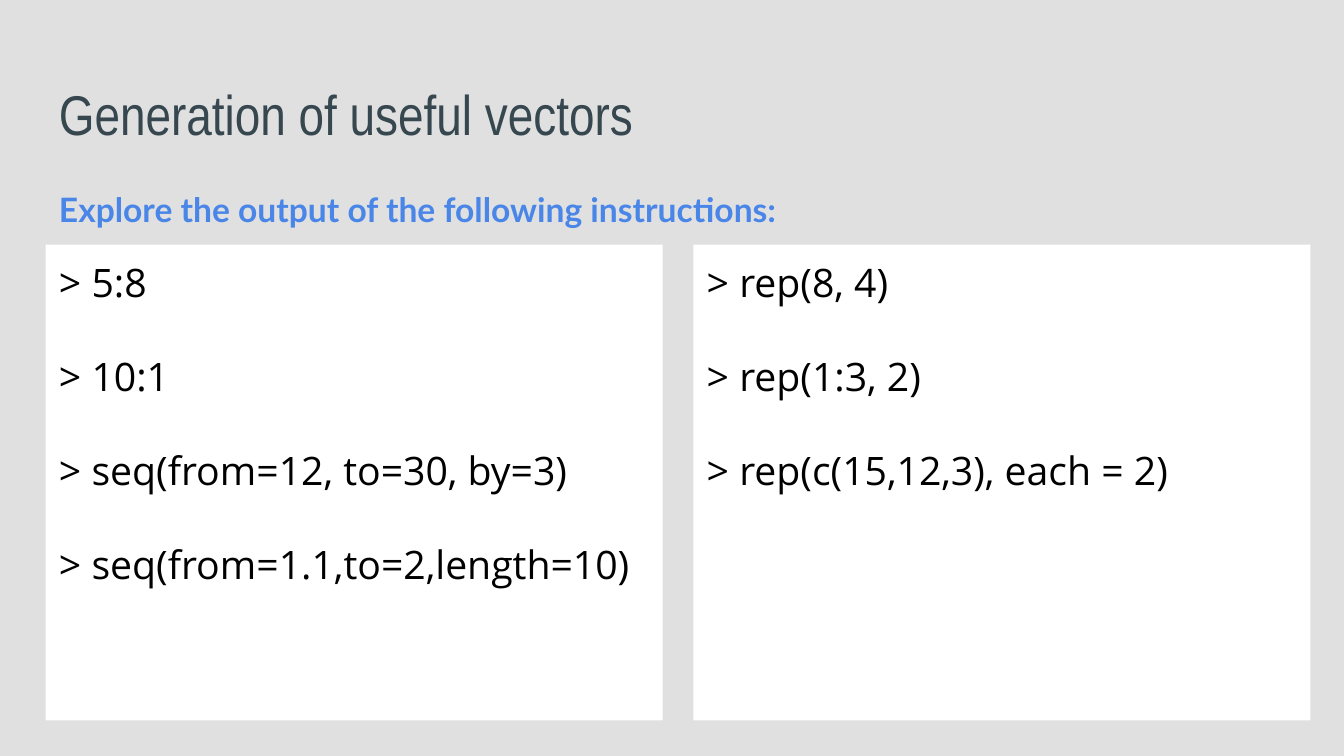
from dataclasses import dataclass

from pptx import Presentation
from pptx.dml.color import RGBColor
from pptx.enum import shapes, text
from pptx.slide import Slide
from pptx.util import Inches, Pt

COLORS = {
    "back": "E0E0E0",
    "panel": "FFFFFF",
    "title": "37474F",
    "lead": "4A86E8",
    "code": "000000",
}
LEFT = 0.34
STEP = 4.82


@dataclass
class Style:
    font: str
    size: float
    color: str
    bold: bool = False
    line: float = 1.0
    gap: float = 0


@dataclass
class Label:
    words: str
    top: float
    height: float
    style: Style


@dataclass
class Panel:
    left: float
    lines: list[str]


TITLE = Style("Arial Narrow", 30, "title")
LEAD = Style("Lato", 18, "lead", bold=True, line=1.15)
CODE = Style("Open Sans", 21, "code", gap=25.2)

LABELS = [
    Label("Generation of useful vectors", 0.49, 0.63, TITLE),
    Label("Explore the output of the following instructions:", 1.26, 1.19, LEAD),
]
CODES = [
    ["> 5:8", "> 10:1", "> seq(from=12, to=30, by=3)", "> seq(from=1.1,to=2,length=10)"],
    ["> rep(8, 4)", "> rep(1:3, 2)", "> rep(c(15,12,3), each = 2)"],
]
PANELS = [Panel(LEFT + i * STEP, lines) for i, lines in enumerate(CODES)]


def tint(name: str) -> RGBColor:
    return RGBColor.from_string(COLORS[name])


def write(shape, words: str, style: Style) -> None:
    frame = shape.text_frame
    frame.text = words
    frame.word_wrap = True
    frame.vertical_anchor = text.MSO_ANCHOR.TOP
    frame.margin_left = frame.margin_right = Inches(0.1)
    frame.margin_top = frame.margin_bottom = Inches(0.1)
    for para in frame.paragraphs:
        para.alignment = text.PP_ALIGN.LEFT
        para.line_spacing = style.line
        para.space_after = Pt(style.gap)
        for run in para.runs:
            run.font.name = style.font
            run.font.size = Pt(style.size)
            run.font.bold = style.bold
            run.font.color.rgb = tint(style.color)


def add_label(slide: Slide, label: Label) -> None:
    box = slide.shapes.add_textbox(
        Inches(LEFT), Inches(label.top), Inches(9.32), Inches(label.height)
    )
    write(box, label.words, label.style)


def add_panel(slide: Slide, panel: Panel) -> None:
    box = slide.shapes.add_shape(
        shapes.MSO_SHAPE.RECTANGLE,
        Inches(panel.left), Inches(1.82), Inches(4.59), Inches(3.54),
    )
    box.shadow.inherit = False
    box.fill.solid()
    box.fill.fore_color.rgb = tint("panel")
    box.line.fill.background()
    write(box, "\n".join(panel.lines), CODE)


def main() -> None:
    deck = Presentation()
    deck.slide_width = Inches(10)
    deck.slide_height = Inches(10 * 9 / 16)
    slide = deck.slides.add_slide(deck.slide_layouts[6])
    slide.background.fill.solid()
    slide.background.fill.fore_color.rgb = tint("back")
    for panel in PANELS:
        add_panel(slide, panel)
    for label in LABELS:
        add_label(slide, label)
    deck.save("out.pptx")


if __name__ == "__main__":
    main()
